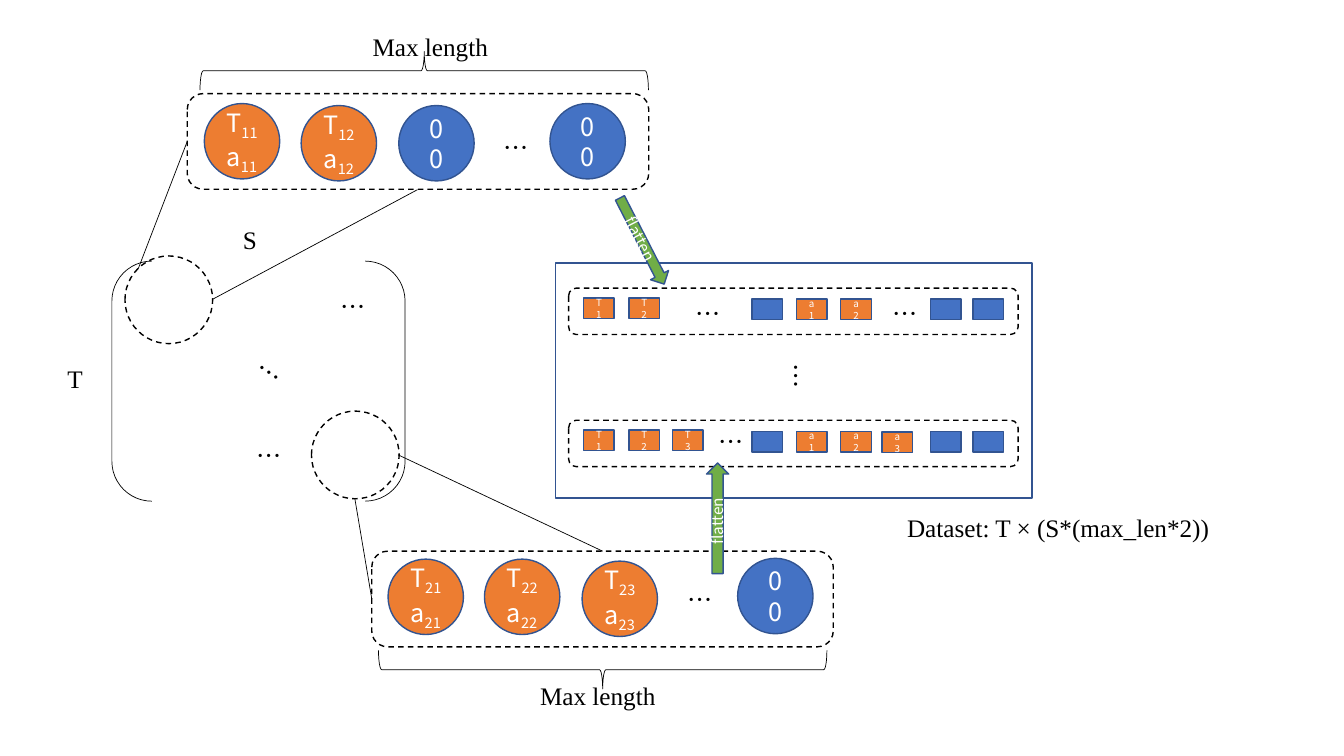
from lxml.etree import SubElement
from pptx import Presentation
from pptx.dml.color import RGBColor
from pptx.enum.dml import MSO_LINE
from pptx.enum.shapes import MSO_CONNECTOR, MSO_SHAPE
from pptx.enum.text import MSO_ANCHOR, MSO_AUTO_SIZE, PP_ALIGN
from pptx.oxml.ns import qn
from pptx.util import Cm, Pt

SANS, SERIF = "Noto Sans CJK SC", "Times New Roman"
ORANGE, BLUE, GREEN, EDGE = "ED7D31", "4472C4", "70AD47", "325491"
BLACK, WHITE = "000000", "FFFFFF"
LABEL = {"size": Pt(18), "name": SERIF}
DOTS = {"size": Pt(18), "name": SANS}
CELL_TEXT = {"size": Pt(7), "name": SANS}
ARROW_TEXT = {"size": Pt(11), "name": SANS}
STRIP_W, STRIP_H = 11.63, 2.41
ZEROS = [[("0", 0)], [("0", 0)]]


def color(value):
    return RGBColor.from_string(value)


def write(frame, paragraphs, style, ink, align=None):
    """Each paragraph is a list of (text, baseline) pairs."""
    for index, pieces in enumerate(paragraphs):
        para = frame.paragraphs[0] if index == 0 else frame.add_paragraph()
        para.alignment = align
        for text, baseline in pieces:
            span = para.add_run()
            span.text = text
            for name, value in style.items():
                setattr(span.font, name, value)
            span.font.color.rgb = color(ink)
            properties = span.font._element
            SubElement(properties, qn("a:ea")).set("typeface", style["name"])
            if baseline:
                properties.set("baseline", str(baseline * 1000))


def add_label(page, text, left, top, width=1.24, style=DOTS, turn=0):
    box = page.shapes.add_textbox(Cm(left), Cm(top), Cm(width), Cm(1.02))
    box.rotation = turn
    settings = {"word_wrap": True, "auto_size": MSO_AUTO_SIZE.SHAPE_TO_FIT_TEXT}
    for name, value in settings.items():
        setattr(box.text_frame, name, value)
    write(box.text_frame, [[(text, 0)]], style, BLACK)


def add_figure(page, kind, left, top, width, height, fill=None, line=BLACK,
               weight=1, dash=None, turn=0):
    figure = page.shapes.add_shape(kind, Cm(left), Cm(top), Cm(width), Cm(height))
    figure.shadow.inherit = False
    figure.rotation = turn
    if fill:
        figure.fill.solid()
        figure.fill.fore_color.rgb = color(fill)
    else:
        figure.fill.background()
    figure.line.color.rgb = color(line)
    for name, value in {"width": Pt(weight), "dash_style": dash}.items():
        setattr(figure.line, name, value)
    return figure


def add_filled(page, kind, left, top, width, height, fill, paragraphs, style, turn=0):
    figure = add_figure(page, kind, left, top, width, height, fill, EDGE, turn=turn)
    figure.text_frame.vertical_anchor = MSO_ANCHOR.MIDDLE
    write(figure.text_frame, paragraphs, style, WHITE, PP_ALIGN.CENTER)


def add_line(page, start, end):
    line = page.shapes.add_connector(
        MSO_CONNECTOR.STRAIGHT, *(Cm(value) for value in start + end))
    line.line.color.rgb = color(BLACK)
    line.line.width = Pt(0.5)
    SubElement(line._element.spPr, qn("a:effectLst"))


def add_sequence(page, left, top, row, circles, dots, brace_x, side, label):
    """Padded sequence; side is -1 for a brace above, 1 for one below."""
    for x, y, number in circles:
        pair = ZEROS
        if number:
            pair = [[("Τ", 0), (f"{row}{number} ", -25),
                     ("a", 0), (f"{row}{number}", -25)]]
        add_filled(page, MSO_SHAPE.OVAL, left + x, top + y, 1.9, 1.9,
                   ORANGE if number else BLUE, pair, DOTS)
    add_label(page, "…", left + dots[0], top + dots[1])
    add_figure(page, MSO_SHAPE.ROUNDED_RECTANGLE, left, top, STRIP_W, STRIP_H,
               dash=MSO_LINE.DASH)
    # Upright brace, turned about its centre
    brace_w, brace_h = 0.97, 11.3
    middle = top + STRIP_H / 2 + side * 1.78
    add_figure(page, MSO_SHAPE.LEFT_BRACE, left + brace_x - brace_w / 2,
               middle - brace_h / 2, brace_w, brace_h, weight=0.5, turn=-side * 90 % 360)
    add_label(page, "Max length", left + label[0], top + label[1], 4.17, LABEL)


def add_matrix(page, left, top):
    add_figure(page, MSO_SHAPE.DOUBLE_BRACKET, left, top, 7.39, 6.05, weight=0.5)
    add_label(page, "T", left - 1.37, top + 2.46, 1, LABEL)
    add_label(page, "S", left + 3.05, top - 1.04, 1.27, LABEL)
    for x, y, turn in [(3.4, 4.39, 0), (3.4, 2.34, 34.6), (5.51, 0.63, 0)]:
        add_label(page, "…", left + x, top + y, turn=turn)
    for x, y in [(0.33, -0.13), (5.03, 3.78)]:
        add_figure(page, MSO_SHAPE.OVAL, left + x, top + y, 2.21, 2.21,
                   dash=MSO_LINE.DASH)


def add_dataset_row(page, left, top, cells, dots):
    add_figure(page, MSO_SHAPE.ROUNDED_RECTANGLE, left, top, 11.33, 1.17,
               dash=MSO_LINE.DASH)
    for x, text in cells:
        y = 0.25 if text.startswith("T") else 0.3 if text == "a3" else 0.28
        add_filled(page, MSO_SHAPE.RECTANGLE, left + x, top + y, 0.77, 0.52,
                   ORANGE if text else BLUE, [[(text, 0)]] if text else [], CELL_TEXT)
    for x, y in dots:
        add_label(page, "…", left + x, top + y)


def add_dataset(page, left, top):
    common = [(0.38, "T1"), (1.52, "T2"), (4.62, ""), (5.74, "a1"),
              (6.86, "a2"), (9.12, ""), (10.19, "")]
    extra = [(2.62, "T3"), (7.9, "a3")]
    add_dataset_row(page, left + 0.33, top + 0.63, common, [(2.95, 0.13), (7.92, 0.13)])
    add_dataset_row(page, left + 0.33, top + 3.96, common + extra, [(3.53, 0.03)])
    add_figure(page, MSO_SHAPE.RECTANGLE, left, top, 12.01, 5.92, line=EDGE)
    add_label(page, "…", left + 5.46, top + 2.39, turn=90)
    add_label(page, "Dataset: T × (S*(max_len*2))", left + 8.61, top + 6.15, 9.17, LABEL)


def add_links(page):
    # Zoom lines between matrix entries and sequences
    for start, end in [((8.94, 12.55), (9.37, 15.09)), ((10.03, 11.46), (15.19, 13.89)),
                       ((3.48, 6.78), (4.72, 3.56)), ((5.36, 7.54), (10.52, 4.78))]:
        add_line(page, start, end)
    # Flatten arrows into the dataset
    for box, turn in [((16.69, 12.78, 2.79, 0.56), 270), ((14.96, 5.82, 2.44, 0.51), 62.8)]:
        add_filled(page, MSO_SHAPE.RIGHT_ARROW, *box, GREEN,
                   [[("flatten", 0)]], ARROW_TEXT, turn)


def main():
    deck = Presentation()
    deck.slide_width, deck.slide_height = Cm(33.87), Cm(19.05)
    page = deck.slides.add_slide(deck.slide_layouts[6])
    add_matrix(page, 2.82, 6.58)
    # Circles are (x, y, number), where 0 marks padding
    add_sequence(page, 4.72, 2.36, 1,
                 [(0.43, 0.25, 1), (2.87, 0.3, 2), (5.33, 0.3, 0), (9.14, 0.25, 0)],
                 (7.72, 0.86), 5.97, -1, (4.42, -1.7))
    add_sequence(page, 9.37, 13.89, 2,
                 [(0.41, 0.2, 1), (2.84, 0.2, 2), (5.3, 0.25, 3), (9.22, 0.18, 0)],
                 (7.7, 0.71), 5.82, 1, (3.99, 3.12))
    add_dataset(page, 14, 6.63)
    add_links(page)
    deck.save("out.pptx")


if __name__ == "__main__":
    main()
